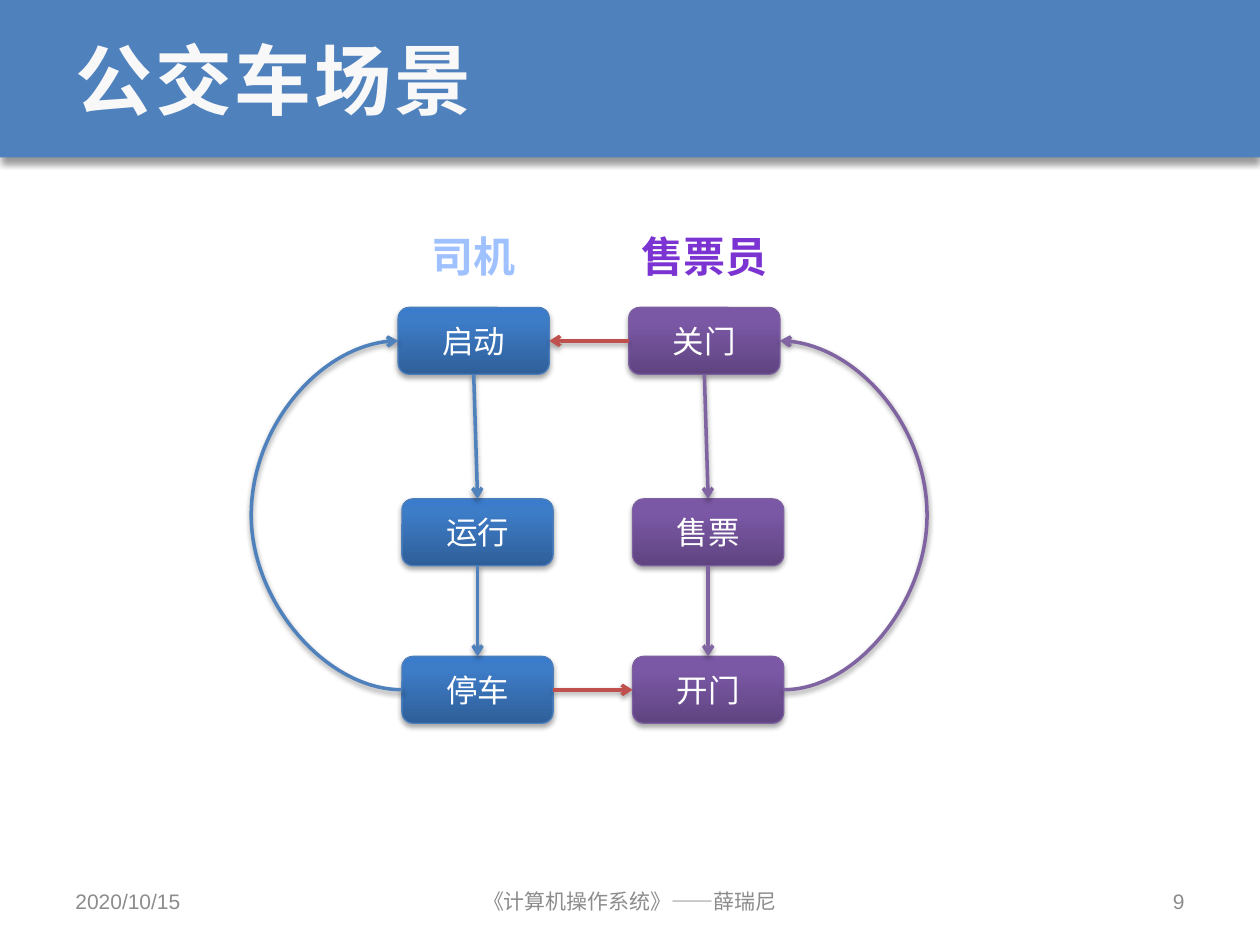
from pptx import Presentation
from pptx.dml.color import RGBColor
from pptx.enum.shapes import MSO_CONNECTOR, MSO_SHAPE
from pptx.enum.text import MSO_ANCHOR, PP_ALIGN
from pptx.oxml import parse_xml
from pptx.oxml.ns import nsdecls, qn
from pptx.util import Pt

COLORS = {
    "banner": "4F81BD", "title": "F8F8F8", "footer": "8C8C8C", "white": "FFFFFF",
    "driver": "4F81BD", "driver_edge": "4B7EBC", "driver_outline": "467AB8",
    "seller": "8064A2", "seller_edge": "7D60A0", "seller_outline": "5E457C",
    "signal": "C0504D",
}
# Gradient stops: position in percent, colour
BOX_STOPS = {
    "driver": [(0, "2F5F99"), (80, "3D7CC7"), (100, "3A7CCB")],
    "seller": [(0, "5F4480"), (80, "7B58A6"), (100, "7C57A8")],
}
LABEL_STOPS = {
    "driver": [(0, "BFD3F9"), (9, "A0C1FF"), (50, "003D85"), (79, "A0C1FF"), (100, "BFD3F9")],
    "seller": [(0, "3D1B67"), (43, "7B34D2"), (48, "7330C4"), (100, "3D1B67")],
}
TOP, LEFT, BOTTOM, RIGHT = range(4)  # connection sites of a box


def rgb(name):
    return RGBColor.from_string(COLORS[name])


def gradient(stops, angle):
    marks = "".join(f'<a:gs pos="{position * 1000}"><a:srgbClr val="{color}"/></a:gs>'
                    for position, color in stops)
    return parse_xml(f'<a:gradFill {nsdecls("a")} rotWithShape="1"><a:gsLst>{marks}</a:gsLst>'
                     f'<a:lin ang="{angle * 60000}" scaled="0"/></a:gradFill>')


def add_shadow(shape, alpha, blur, distance):
    shape._element.spPr.append(parse_xml(
        f'<a:effectLst {nsdecls("a")}><a:outerShdw blurRad="{Pt(blur)}" dist="{Pt(distance)}" '
        f'dir="5400000" rotWithShape="0"><a:srgbClr val="000000">'
        f'<a:alpha val="{alpha * 1000}"/></a:srgbClr></a:outerShdw></a:effectLst>'))


def write(shape, text, size=18, color="white", font="Arial", bold=False,
          align=PP_ALIGN.CENTER, anchor=MSO_ANCHOR.MIDDLE):
    frame = shape.text_frame
    frame.word_wrap = True
    frame.vertical_anchor = anchor
    para = frame.paragraphs[0]
    para.alignment = align
    span = para.add_run()
    span.text = text
    span.font.size = Pt(size)
    span.font.name = font
    span.font.bold = bold
    span.font.color.rgb = rgb(color)
    return span


class SlideBuilder:
    heading_font = "DejaVu Sans Mono"
    line_width = 2

    def __init__(self, slide):
        self.slide = slide
        self.shapes = slide.shapes

    def title(self, text, height):
        title = self.shapes.title
        title.left, title.top, title.width, title.height = Pt(36), Pt(0), Pt(648), Pt(height)
        span = write(title, text, size=44, color="title", font=self.heading_font,
                     bold=True, align=PP_ALIGN.LEFT)
        span.font._element.set("spc", "150")
        # Banner behind the title
        banner = self.shapes.add_shape(MSO_SHAPE.RECTANGLE, Pt(0), Pt(0), Pt(720), Pt(height))
        banner.fill.solid()
        banner.fill.fore_color.rgb = rgb("banner")
        banner.line.fill.background()
        add_shadow(banner, 40, 4, 3)
        title._element.addprevious(banner._element)

    def text(self, text, left, top, width, height, **style):
        box = self.shapes.add_textbox(Pt(left), Pt(top), Pt(width), Pt(height))
        return write(box, text, **style)

    def label(self, text, role, left):
        span = self.text(text, left, 128.2, 105.1, 36, size=24, bold=True, anchor=MSO_ANCHOR.TOP)
        properties = span.font._element
        properties.replace(properties.find(qn("a:solidFill")), gradient(LABEL_STOPS[role], 90))
        properties.insert(0, parse_xml(
            f'<a:ln {nsdecls("a")} w="{Pt(0.8)}"><a:solidFill>'
            f'<a:srgbClr val="{COLORS[role + "_outline"]}"/></a:solidFill></a:ln>'))

    def box(self, text, role, left, top):
        box = self.shapes.add_shape(MSO_SHAPE.ROUNDED_RECTANGLE, Pt(left), Pt(top),
                                    Pt(86.4), Pt(38.2))
        box.line.color.rgb = rgb(role + "_edge")
        box.line.width = Pt(0.75)
        box._element.spPr.find(qn("a:ln")).addprevious(gradient(BOX_STOPS[role], 270))
        add_shadow(box, 35, 3.1, 1.8)
        write(box, text)
        return box

    def arrow(self, start, start_site, end, end_site, color, bend=None):
        """Join two boxes; bend is the outermost x of a curved arrow."""
        kind = MSO_CONNECTOR.STRAIGHT if bend is None else MSO_CONNECTOR.CURVE
        arrow = self.shapes.add_connector(kind, start.left, start.top, end.left, end.top)
        arrow.begin_connect(start, start_site)
        arrow.end_connect(end, end_site)
        arrow.line.color.rgb = rgb(color)
        arrow.line.width = Pt(self.line_width)
        properties = arrow._element.spPr
        properties.find(qn("a:ln")).append(
            parse_xml(f'<a:tailEnd {nsdecls("a")} type="arrow"/>'))
        add_shadow(arrow, 38, 3.1, 1.6)
        if bend is not None:
            ratio = (Pt(bend) - arrow.begin_x) / (arrow.end_x - arrow.begin_x)
            geometry = properties.find(qn("a:prstGeom"))
            for old in list(geometry):
                geometry.remove(old)
            geometry.append(parse_xml(
                f'<a:avLst {nsdecls("a")}><a:gd name="adj1" '
                f'fmla="val {round(ratio * 100000)}"/></a:avLst>'))


def main():
    deck = Presentation()
    deck.slide_width, deck.slide_height = Pt(720), Pt(540)
    page = SlideBuilder(deck.slides.add_slide(deck.slide_layouts[5]))
    page.title("公交车场景", 90)

    # Two columns of steps; the first row sits slightly to the left
    rows = [(0, 175.7), (2.2, 285.1), (2.2, 375.1)]
    columns = [
        ("driver", "司机", 227.5, ["启动", "运行", "停车"], LEFT, 144),
        ("seller", "售票员", 359.3, ["关门", "售票", "开门"], RIGHT, 529.4),
    ]
    steps = {}
    for role, heading, left, names, outer_side, bend in columns:
        page.label(heading, role, left - 9.4)
        boxes = [page.box(name, role, left + shift, top)
                 for name, (shift, top) in zip(names, rows)]
        for upper, lower in zip(boxes, boxes[1:]):
            page.arrow(upper, BOTTOM, lower, TOP, role)
        page.arrow(boxes[-1], outer_side, boxes[0], outer_side, role, bend)
        steps[role] = boxes

    # Signals between driver and seller
    driver, seller = steps["driver"], steps["seller"]
    page.arrow(driver[-1], RIGHT, seller[-1], LEFT, "signal")
    page.arrow(seller[0], LEFT, driver[0], RIGHT, "signal")

    # Footer
    footer = [
        ("2020/10/15", 36, 168, PP_ALIGN.LEFT, "Arial"),
        ("《计算机操作系统》——薛瑞尼", 204, 312, PP_ALIGN.CENTER, page.heading_font),
        ("9", 516, 168, PP_ALIGN.RIGHT, "Arial"),
    ]
    for text, left, width, align, font in footer:
        page.text(text, left, 500.5, width, 28.8, size=12, color="footer", font=font, align=align)

    deck.save("out.pptx")


if __name__ == "__main__":
    main()
